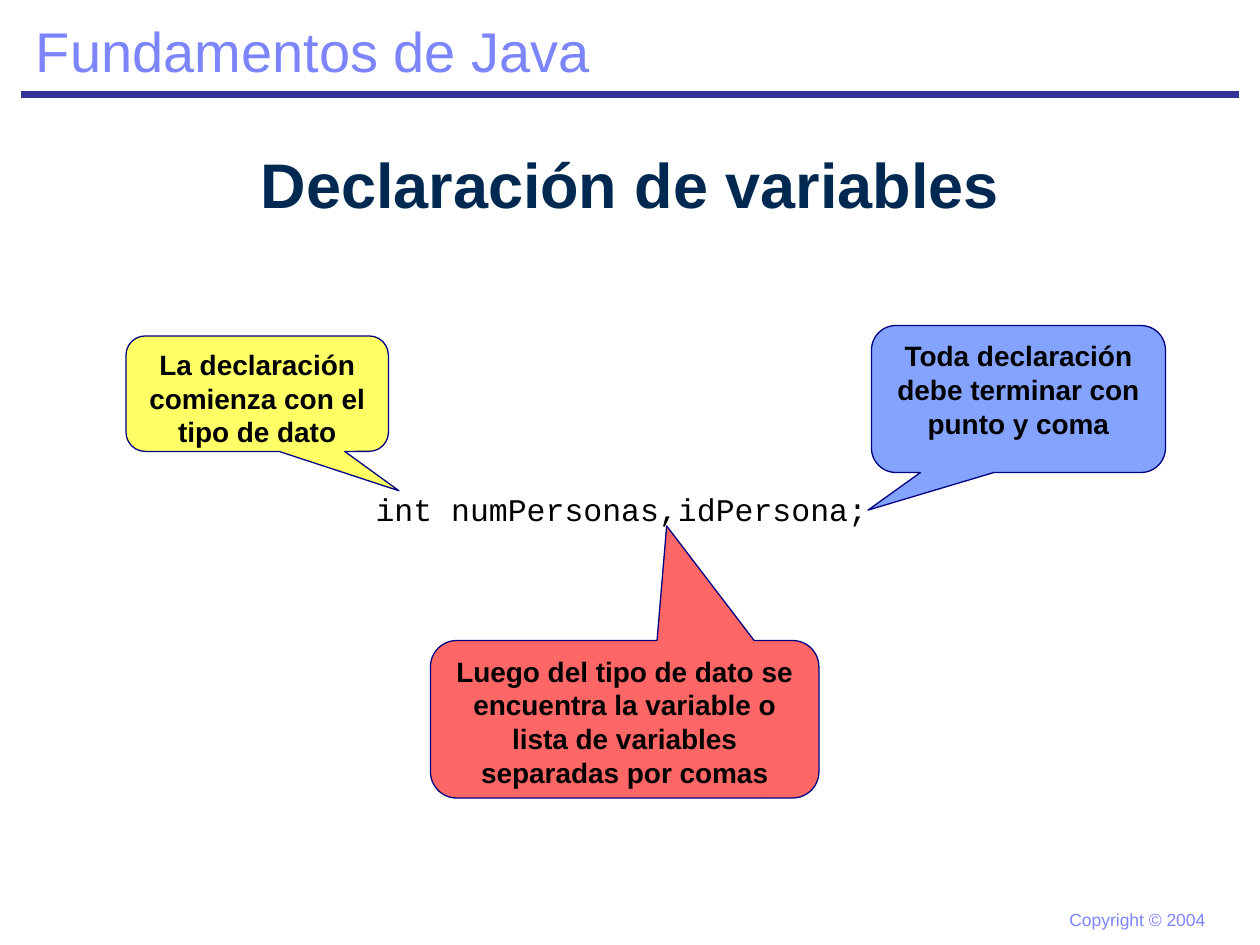
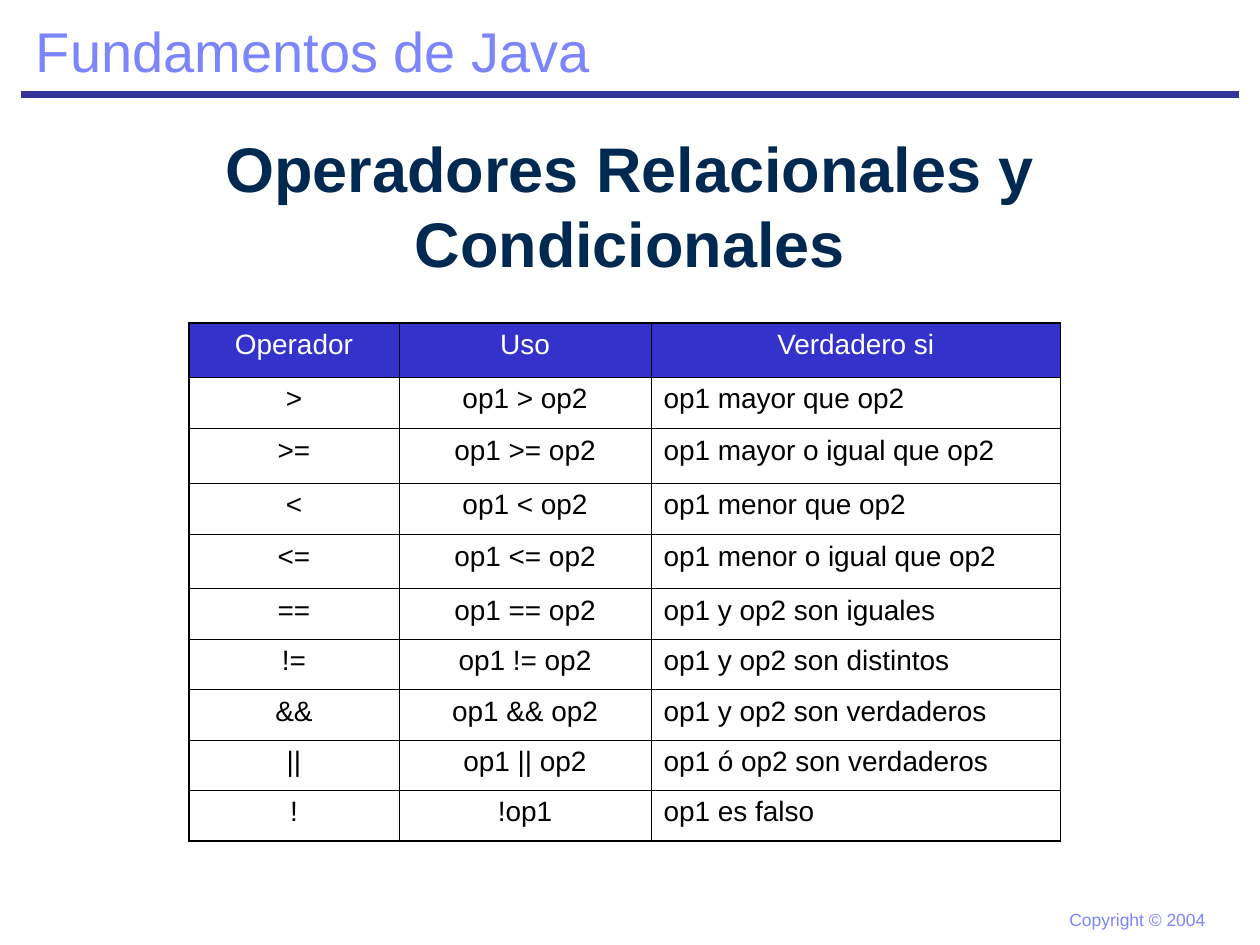
from dataclasses import dataclass

from lxml.etree import SubElement
from pptx import Presentation
from pptx.dml.color import RGBColor
from pptx.enum.shapes import MSO_CONNECTOR, MSO_SHAPE
from pptx.enum.text import MSO_ANCHOR, MSO_AUTO_SIZE, PP_ALIGN
from pptx.oxml import parse_xml
from pptx.oxml.ns import nsdecls, qn
from pptx.util import Pt


@dataclass(frozen=True)
class Theme:
    # Colours
    black: str = "000000"
    white: str = "FFFFFF"
    band: str = "333399"
    course: str = "7C85FC"
    title: str = "002952"
    outline: str = "000080"
    yellow: str = "FFFF00"
    red: str = "FF0000"
    blue: str = "3366FF"
    table_header: str = "3333CC"
    # Fonts and type sizes
    font: str = "Arial"
    code_font: str = "Courier New"
    title_size: int = 36
    course_size: int = 32
    code_size: int = 18
    body_size: int = 16
    footer_size: int = 10
    # Line widths
    outer_border: float = 1.08
    inner_border: float = 0.45


THEME = Theme()


def write_text(frame, text, size=THEME.body_size, color=THEME.black, bold=False,
               font=THEME.font, align=PP_ALIGN.LEFT, anchor=MSO_ANCHOR.TOP,
               one_line=False, line_spacing=None):
    frame.word_wrap = not one_line
    if one_line:
        frame.auto_size = MSO_AUTO_SIZE.SHAPE_TO_FIT_TEXT
    frame.vertical_anchor = anchor
    paragraph = frame.paragraphs[0]
    paragraph.text = text
    paragraph.alignment = align
    paragraph.line_spacing = line_spacing
    paragraph.font.size = Pt(size)
    paragraph.font.name = font
    paragraph.font.bold = bold
    paragraph.font.color.rgb = RGBColor.from_string(color)
    return paragraph


class Deck:
    def __init__(self, presentation, theme):
        self.presentation = presentation
        self.theme = theme
        self.slide = None

    def start_slide(self, title, title_top):
        theme = self.theme
        self.slide = self.presentation.slides.add_slide(self.presentation.slide_layouts[6])
        # Shared band, course name and footer
        self.line(12, 54, 708, 54, theme.band, 4.5)
        self.text(604, 516, 92, 19.5, "Copyright © 2004", size=theme.footer_size,
                  color=theme.course, one_line=True)
        self.text(13.5, 6, 332, 46, "Fundamentos de Java", size=theme.course_size,
                  color=theme.course, one_line=True)
        # Slide title
        self.text(0, title_top, 720, 54, title, size=theme.title_size, color=theme.title,
                  bold=True, align=PP_ALIGN.CENTER, anchor=MSO_ANCHOR.MIDDLE)

    def line(self, left, top, right, bottom, color, width):
        connector = self.slide.shapes.add_connector(
            MSO_CONNECTOR.STRAIGHT, Pt(left), Pt(top), Pt(right), Pt(bottom))
        connector.line.color.rgb = RGBColor.from_string(color)
        connector.line.width = Pt(width)
        SubElement(connector._element.spPr, qn("a:effectLst"))

    def text(self, left, top, width, height, text, **text_format):
        box = self.slide.shapes.add_textbox(Pt(left), Pt(top), Pt(width), Pt(height))
        return write_text(box.text_frame, text, **text_format)

    def code(self, left, top, width, height, text):
        paragraph = self.text(left, top, width, height, text, size=self.theme.code_size,
                              font=self.theme.code_font, line_spacing=1.3)
        properties = paragraph._p.get_or_add_pPr()
        properties.set("marL", str(Pt(35)))
        properties.set("indent", str(Pt(-13.5)))

    def callout(self, left, top, width, height, text, color, tip):
        shape = self.slide.shapes.add_shape(
            MSO_SHAPE.ROUNDED_RECTANGULAR_CALLOUT, Pt(left), Pt(top), Pt(width), Pt(height))
        shape.shadow.inherit = False
        # The tip is measured from the centre, as a share of the size
        tip_x, tip_y = tip
        shape.adjustments[0] = (tip_x - left) / width - 0.5
        shape.adjustments[1] = (tip_y - top) / height - 0.5
        shape.fill.solid()
        shape.fill.fore_color.rgb = RGBColor.from_string(color)
        fill_color = shape._element.spPr.find(qn("a:solidFill"))[0]
        SubElement(fill_color, qn("a:alpha"), val="60000")
        shape.line.color.rgb = RGBColor.from_string(self.theme.outline)
        shape.line.width = Pt(0.75)
        write_text(shape.text_frame, text, bold=True, align=PP_ALIGN.CENTER)

    def border(self, cell, widths):
        properties = cell._tc.get_or_add_tcPr()
        for index, (side, width) in enumerate(widths.items()):
            properties.insert(index, parse_xml(
                f'<a:ln{side} {nsdecls("a")} w="{Pt(width)}"><a:solidFill>'
                f'<a:srgbClr val="{self.theme.black}"/></a:solidFill></a:ln{side}>'))

    def table(self, left, top, column_widths, row_heights, rows):
        theme = self.theme
        table = self.slide.shapes.add_table(
            len(rows), len(column_widths), Pt(left), Pt(top),
            Pt(sum(column_widths)), Pt(sum(row_heights))).table
        table.first_row = table.horz_banding = False
        for column, width in zip(table.columns, column_widths):
            column.width = Pt(width)
        last_row, last_column = len(rows) - 1, len(column_widths) - 1
        for row, (height, values) in enumerate(zip(row_heights, rows)):
            table.rows[row].height = Pt(height)
            for column, value in enumerate(values):
                cell = table.cell(row, column)
                is_header = row == 0
                if is_header:
                    cell.fill.solid()
                    cell.fill.fore_color.rgb = RGBColor.from_string(theme.table_header)
                else:
                    cell.fill.background()
                centred = is_header or column < last_column
                write_text(cell.text_frame, value,
                           color=theme.white if is_header else theme.black,
                           align=PP_ALIGN.CENTER if centred else PP_ALIGN.LEFT)
                on_edge = {"L": column == 0, "R": column == last_column,
                           "T": is_header, "B": row == last_row}
                self.border(cell, {
                    side: theme.outer_border if outer else theme.inner_border
                    for side, outer in on_edge.items()})


def build_declaration_slide(deck):
    deck.start_slide("Declaración de variables", 78)
    deck.code(186, 270, 366, 48, "int numPersonas,idPersona;")
    # Callouts pointing at the parts of the declaration
    deck.callout(72, 192, 150, 66, "La declaración comienza con el tipo de dato",
                 THEME.yellow, tip=(228, 280.5))
    deck.callout(246, 366, 222, 90,
                 "Luego del tipo de dato se encuentra la variable o lista de variables "
                 "separadas por comas", THEME.red, tip=(381, 300.5))
    deck.callout(498, 186, 168, 84, "Toda declaración debe terminar con punto y coma",
                 THEME.blue, tip=(496, 291.5))


def build_operators_slide(deck):
    deck.start_slide("Operadores Relacionales y Condicionales", 90)
    meanings = {
        ">": "op1 mayor que op2",
        ">=": "op1 mayor o igual que op2",
        "<": "op1 menor que op2",
        "<=": "op1 menor o igual que op2",
        "==": "op1 y op2 son iguales",
        "!=": "op1 y op2 son distintos",
        "&&": "op1 y op2 son verdaderos",
        "||": "op1 ó op2 son verdaderos",
    }
    rows = [("Operador", "Uso", "Verdadero si")]
    rows += [(operator, f"op1 {operator} op2", meaning)
             for operator, meaning in meanings.items()]
    rows.append(("!", "!op1", "op1 es falso"))
    row_heights = [31, 29.5, 31, 29.5, 31] + [28.8] * 5
    deck.table(108, 184.5, [120, 144, 234], row_heights, rows)


def main():
    presentation = Presentation()
    presentation.slide_width, presentation.slide_height = Pt(720), Pt(540)
    deck = Deck(presentation, THEME)
    build_declaration_slide(deck)
    build_operators_slide(deck)
    presentation.save("out.pptx")


if __name__ == "__main__":
    main()
